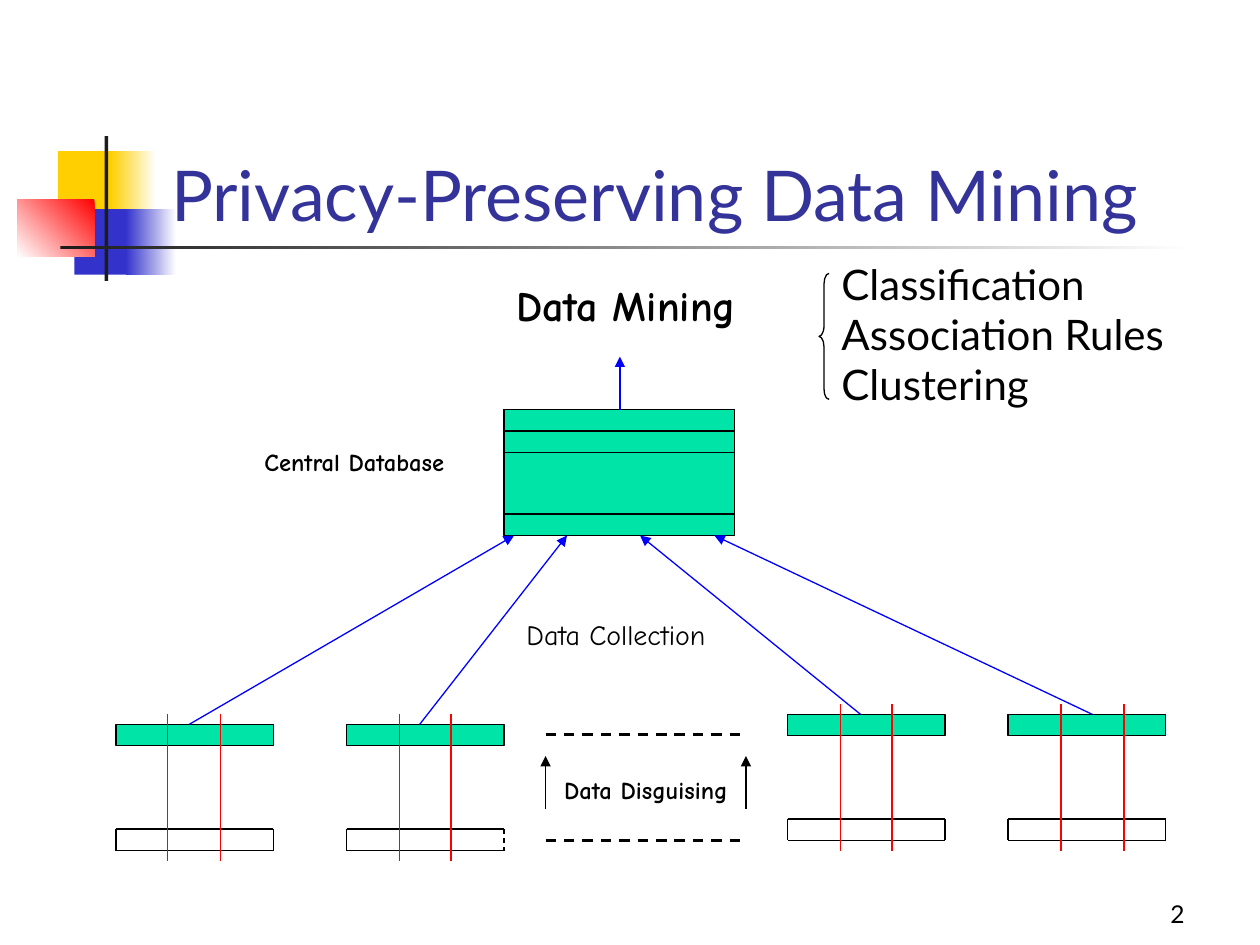
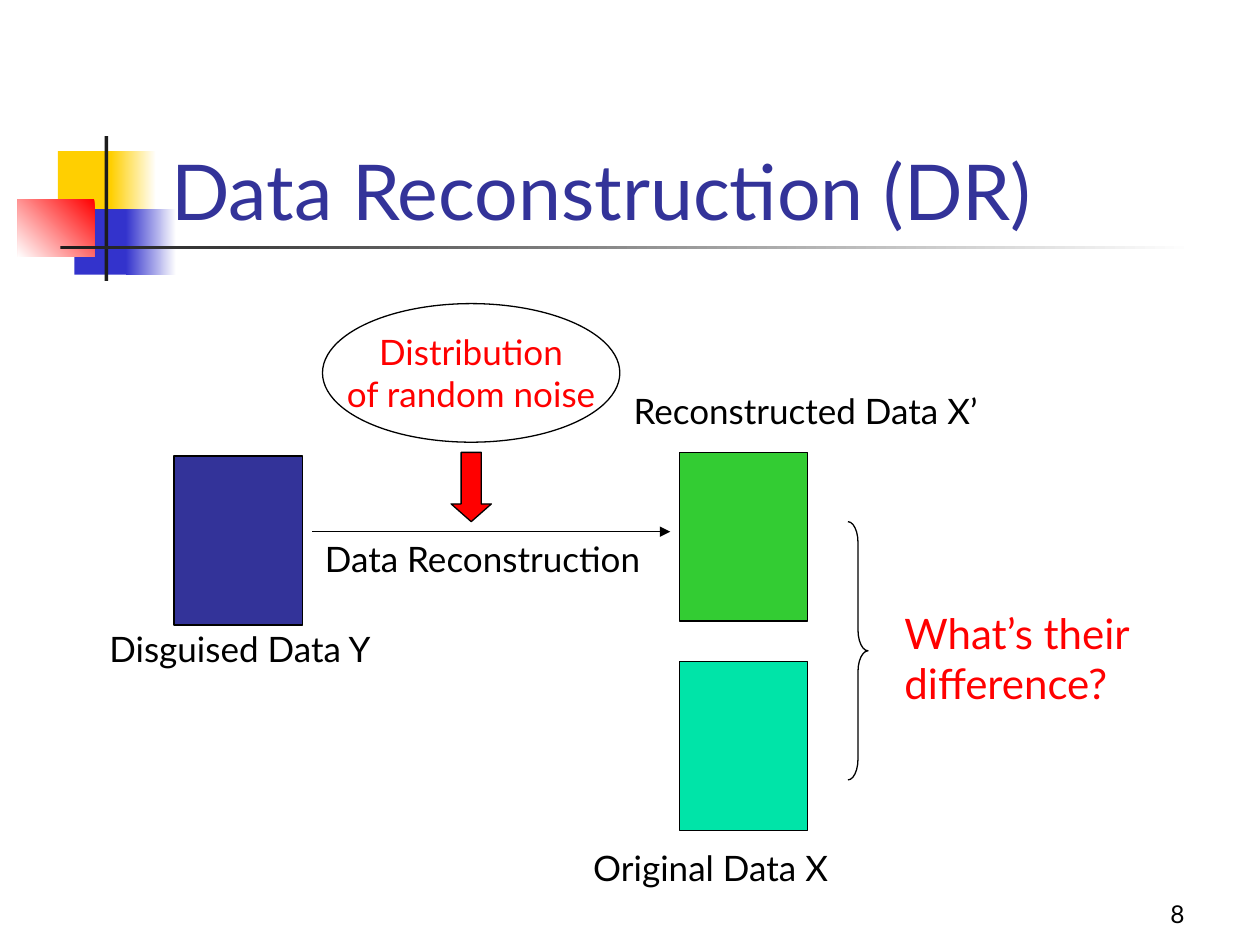
from dataclasses import dataclass
from typing import Optional

import pptx
import pptx.dml.color
import pptx.enum.dml
import pptx.enum.shapes
import pptx.enum.text
import pptx.oxml
import pptx.oxml.ns
import pptx.util
from pptx.util import Inches

SHAPE = pptx.enum.shapes.MSO_SHAPE
ALIGN = pptx.enum.text.PP_ALIGN
ANCHOR = pptx.enum.text.MSO_ANCHOR


@dataclass(frozen=True)
class Theme:
    black: str = "000000"
    white: str = "FFFFFF"
    red: str = "FF0000"
    arrow_blue: str = "0000FF"
    navy: str = "333399"
    mint: str = "00E4A8"
    green: str = "33CC33"
    yellow: str = "FFCF01"
    band_blue: str = "3333CC"
    charcoal: str = "1C1C1C"
    body_font: str = "Lato"
    diagram_font: str = "Comic Neue"
    title: int = 44
    long_title: int = 40
    large: int = 24
    label: int = 20
    note: int = 16
    small: int = 14
    thin: float = 0.75
    thick: float = 1.5


THEME = Theme()


@dataclass(frozen=True)
class Band:
    """A decorative block behind the title; fades to white when angle is set."""
    left: float
    top: float
    width: float
    height: float
    color: str
    angle: Optional[int] = None


@dataclass(frozen=True)
class Label:
    left: float
    top: float
    width: float
    height: float
    lines: tuple[str, ...]
    size: int = THEME.label
    color: str = THEME.black
    font: str = THEME.body_font
    bold: bool = False
    wrap: bool = False
    align: ALIGN = ALIGN.LEFT
    anchor: ANCHOR = ANCHOR.TOP
    fit: bool = True


@dataclass(frozen=True)
class Party:
    """One data owner: a disguised row above its raw row."""
    left: float
    top: float
    dividers: tuple[float, float]
    sends_from: float
    arrives_at: float
    raw_right_dash: bool = False


BANDS = (
    Band(0.46, 1.2, 0.48, 0.52, THEME.yellow),
    Band(0.88, 1.2, 0.36, 0.52, THEME.yellow, 0),
    Band(0.59, 1.66, 0.46, 0.52, THEME.band_blue),
    Band(1, 1.66, 0.4, 0.52, THEME.band_blue, 0),
    Band(0.14, 1.58, 0.61, 0.46, THEME.red, 225),
    Band(0.83, 1.08, 0.03, 1.15, THEME.charcoal),
    Band(0.48, 1.95, 9, 0.03, THEME.charcoal, 0),
)

PARTIES = (
    Party(0.92, 5.75, (1.33, 1.75), 1.5, 4.08),
    Party(2.75, 5.75, (3.17, 3.58), 3.33, 4.5, raw_right_dash=True),
    Party(6.25, 5.67, (6.67, 7.08), 6.83, 5.08),
    Party(8, 5.67, (8.42, 8.92), 8.67, 5.67),
)


def rgb(color: str) -> pptx.dml.color.RGBColor:
    return pptx.dml.color.RGBColor.from_string(color)


def add_preset(slide, kind: SHAPE, left: float, top: float, width: float, height: float,
               fill: Optional[str] = None, outline: Optional[str] = THEME.black):
    shape = slide.shapes.add_shape(kind, Inches(left), Inches(top), Inches(width), Inches(height))
    shape.shadow.inherit = False
    if fill:
        shape.fill.solid()
        shape.fill.fore_color.rgb = rgb(fill)
    else:
        shape.fill.background()
    if outline:
        shape.line.color.rgb = rgb(outline)
        shape.line.width = pptx.util.Pt(THEME.thin)
    else:
        shape.line.fill.background()
    return shape


def add_line(slide, x1: float, y1: float, x2: float, y2: float, color: str = THEME.black,
             width: float = THEME.thin, dashed: bool = False, arrow: bool = False) -> None:
    connector = slide.shapes.add_connector(
        pptx.enum.shapes.MSO_CONNECTOR.STRAIGHT, Inches(x1), Inches(y1), Inches(x2), Inches(y2))
    connector.line.color.rgb = rgb(color)
    connector.line.width = pptx.util.Pt(width)
    if dashed:
        connector.line.dash_style = pptx.enum.dml.MSO_LINE.DASH
    properties = connector._element.spPr
    if arrow:
        outline = properties.find(pptx.oxml.ns.qn("a:ln"))
        outline.append(pptx.oxml.parse_xml(
            f'<a:tailEnd {pptx.oxml.ns.nsdecls("a")} type="triangle"/>'))
    properties.append(pptx.oxml.parse_xml(f'<a:effectLst {pptx.oxml.ns.nsdecls("a")}/>'))


def write_lines(frame, label: Label) -> None:
    frame.word_wrap = label.wrap
    frame.vertical_anchor = label.anchor
    for index, line in enumerate(label.lines):
        paragraph = frame.add_paragraph() if index else frame.paragraphs[0]
        paragraph.text = line
        paragraph.alignment = label.align
        paragraph.font.name = label.font
        paragraph.font.size = pptx.util.Pt(label.size)
        paragraph.font.bold = label.bold
        paragraph.font.color.rgb = rgb(label.color)


def add_label(slide, label: Label) -> None:
    frame = slide.shapes.add_textbox(Inches(label.left), Inches(label.top),
                                     Inches(label.width), Inches(label.height)).text_frame
    write_lines(frame, label)
    if label.fit:
        frame.auto_size = pptx.enum.text.MSO_AUTO_SIZE.SHAPE_TO_FIT_TEXT


def add_brace(slide, kind: SHAPE, left: float, top: float, width: float, height: float) -> None:
    brace = add_preset(slide, kind, left, top, width, height)
    brace.adjustments[0] = 1.04
    brace.adjustments[1] = 0.5


def start_slide(deck, title: str, title_size: int, number: int):
    """Blank slide with the shared bands, title and page number."""
    slide = deck.slides.add_slide(deck.slide_layouts[6])
    for band in BANDS:
        block = add_preset(slide, SHAPE.RECTANGLE, band.left, band.top, band.width, band.height,
                           band.color, outline=None)
        if band.angle is not None:
            block.fill.gradient()
            block.fill.gradient_angle = band.angle
            for stop, color in zip(block.fill.gradient_stops, (band.color, THEME.white)):
                stop.color.rgb = rgb(color)
    add_label(slide, Label(1.26, 0.67, 8.52, 1.25, (title,), title_size, THEME.navy,
                           wrap=True, anchor=ANCHOR.BOTTOM, fit=False))
    add_label(slide, Label(7.42, 6.92, 2.08, 0.5, (str(number),), THEME.small, wrap=True,
                           align=ALIGN.RIGHT, anchor=ANCHOR.BOTTOM, fit=False))
    return slide


def add_party(slide, party: Party, database_bottom: float) -> None:
    width, height, raw_drop = 1.25, 0.17, 0.83
    left, right = party.left, party.left + width
    raw_top = party.top + raw_drop
    raw_bottom = raw_top + height
    add_preset(slide, SHAPE.RECTANGLE, left, party.top, width, height, THEME.mint)
    # Raw row, edge by edge because one side may be dashed
    add_line(slide, left, raw_top, left, raw_bottom)
    add_line(slide, left, raw_top, right, raw_top)
    add_line(slide, left, raw_bottom, right, raw_bottom)
    add_line(slide, right, raw_top, right, raw_bottom, dashed=party.raw_right_dash)
    for divider in party.dividers:
        add_line(slide, divider, party.top - 0.08, divider, raw_bottom + 0.08, THEME.red)
    add_line(slide, party.sends_from, party.top, party.arrives_at, database_bottom,
             THEME.arrow_blue, arrow=True)


def build_mining_slide(deck) -> None:
    slide = start_slide(deck, "Privacy-Preserving Data Mining", THEME.long_title, 2)

    # Central database with its rows
    left, top, width, height, row = 4, 3.25, 1.83, 1, 0.17
    add_preset(slide, SHAPE.RECTANGLE, left, top, width, height, THEME.mint)
    for index in range(2):
        add_preset(slide, SHAPE.RECTANGLE, left, top + index * row, width, row, THEME.mint)
    last_row = top + height - row
    add_line(slide, left, last_row, left + width, last_row)
    add_line(slide, 4.92, top, 4.92, 2.83, THEME.arrow_blue, arrow=True)

    # Data owners feeding the database
    for party in PARTIES:
        add_party(slide, party, top + height)

    # Further owners and the disguising step
    for y in (5.83, 6.67):
        add_line(slide, 4.33, y, 5.92, y, width=THEME.thick, dashed=True)
    for x in (4.33, 5.92):
        add_line(slide, x, 6.42, x, 6, arrow=True)

    # Labels and mining tasks
    comic = THEME.diagram_font
    for label in (
        Label(4, 2.17, 1.95, 0.5, ("Data Mining",), THEME.large, font=comic, bold=True),
        Label(4.08, 4.85, 2.08, 0.37, ("Data Collection",), THEME.note, font=comic, wrap=True),
        Label(4.38, 6.1, 1.5, 0.34, ("Data Disguising",), THEME.small, font=comic, bold=True),
        Label(2, 3.5, 2, 0.34, ("Central Database",), THEME.small, font=comic, bold=True,
              wrap=True),
        Label(6.58, 2, 2.91, 1.3, ("Classification", "Association Rules", "Clustering"),
              THEME.large),
    ):
        add_label(slide, label)
    add_brace(slide, SHAPE.LEFT_BRACE, 6.5, 2.17, 0.08, 1)


def build_reconstruction_slide(deck) -> None:
    slide = start_slide(deck, "Data Reconstruction (DR)", THEME.title, 8)

    # Disguised, reconstructed and original data sets
    for left, top, color in ((1.38, 3.62, THEME.navy), (5.39, 3.59, THEME.green),
                             (5.39, 5.25, THEME.mint)):
        add_preset(slide, SHAPE.RECTANGLE, left, top, 1.02, 1.34, color)

    # Reconstruction step fed by the noise distribution
    add_line(slide, 2.48, 4.22, 5.32, 4.22, arrow=True)
    noise = Label(2.56, 2.41, 2.36, 1.1, ("Distribution", "of random noise"), color=THEME.red,
                  align=ALIGN.CENTER, anchor=ANCHOR.MIDDLE)
    bubble = add_preset(slide, SHAPE.OVAL, noise.left, noise.top, noise.width, noise.height)
    write_lines(bubble.text_frame, noise)
    noise_arrow = add_preset(slide, SHAPE.DOWN_ARROW, 3.58, 3.59, 0.32, 0.55, THEME.red)
    noise_arrow.adjustments[0] = 0.5
    noise_arrow.adjustments[1] = 0.44

    # Labels and the closing question
    for label in (
        Label(4.61, 6.67, 2.17, 0.44, ("Original Data X",)),
        Label(0.77, 4.93, 2.4, 0.44, ("Disguised Data Y",)),
        Label(4.93, 3.04, 3.06, 0.44, ("Reconstructed Data X’",)),
        Label(2.48, 4.22, 3.17, 0.44, ("Data Reconstruction",), wrap=True),
        Label(7.08, 4.77, 2.06, 0.9, ("What’s their", "difference?"), THEME.large, THEME.red),
    ):
        add_label(slide, label)
    add_brace(slide, SHAPE.RIGHT_BRACE, 6.73, 4.14, 0.16, 2.05)


def main() -> None:
    deck = pptx.Presentation()
    deck.slide_width, deck.slide_height = Inches(10), Inches(7.5)
    build_mining_slide(deck)
    build_reconstruction_slide(deck)
    deck.save("out.pptx")


if __name__ == "__main__":
    main()
